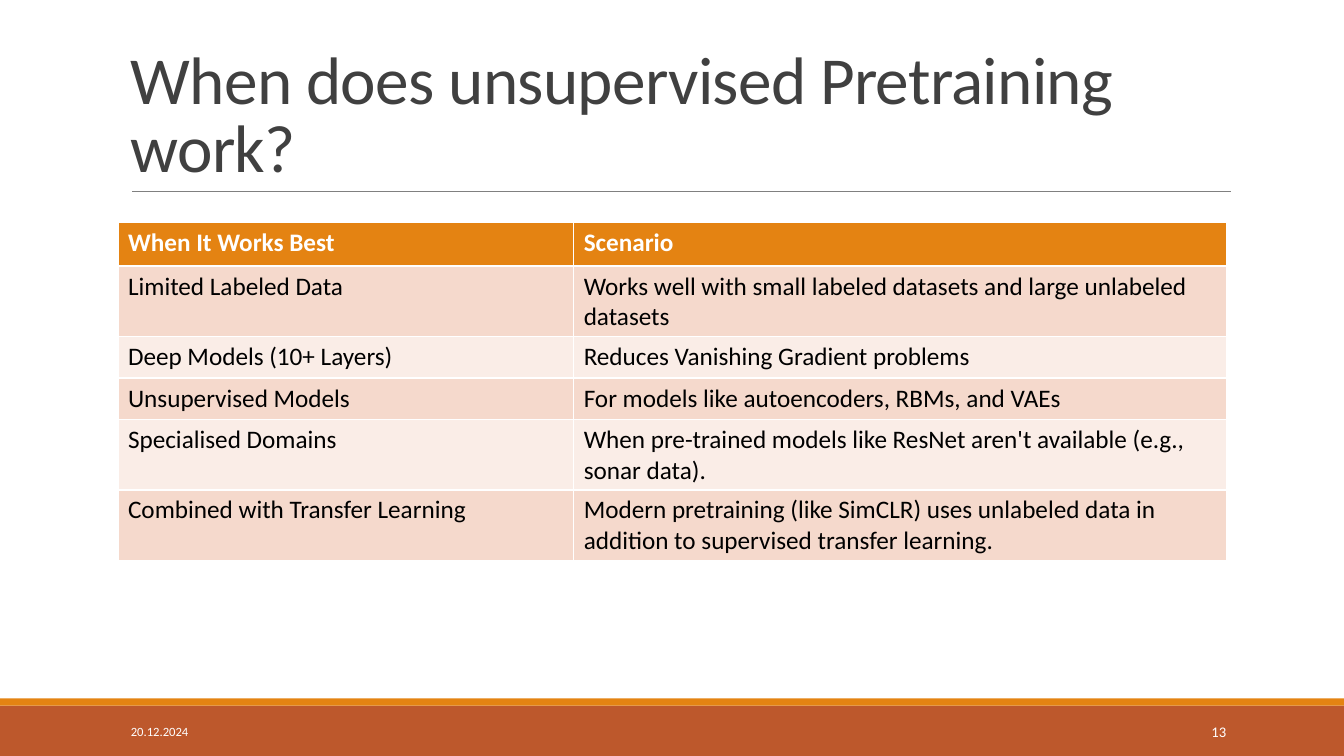
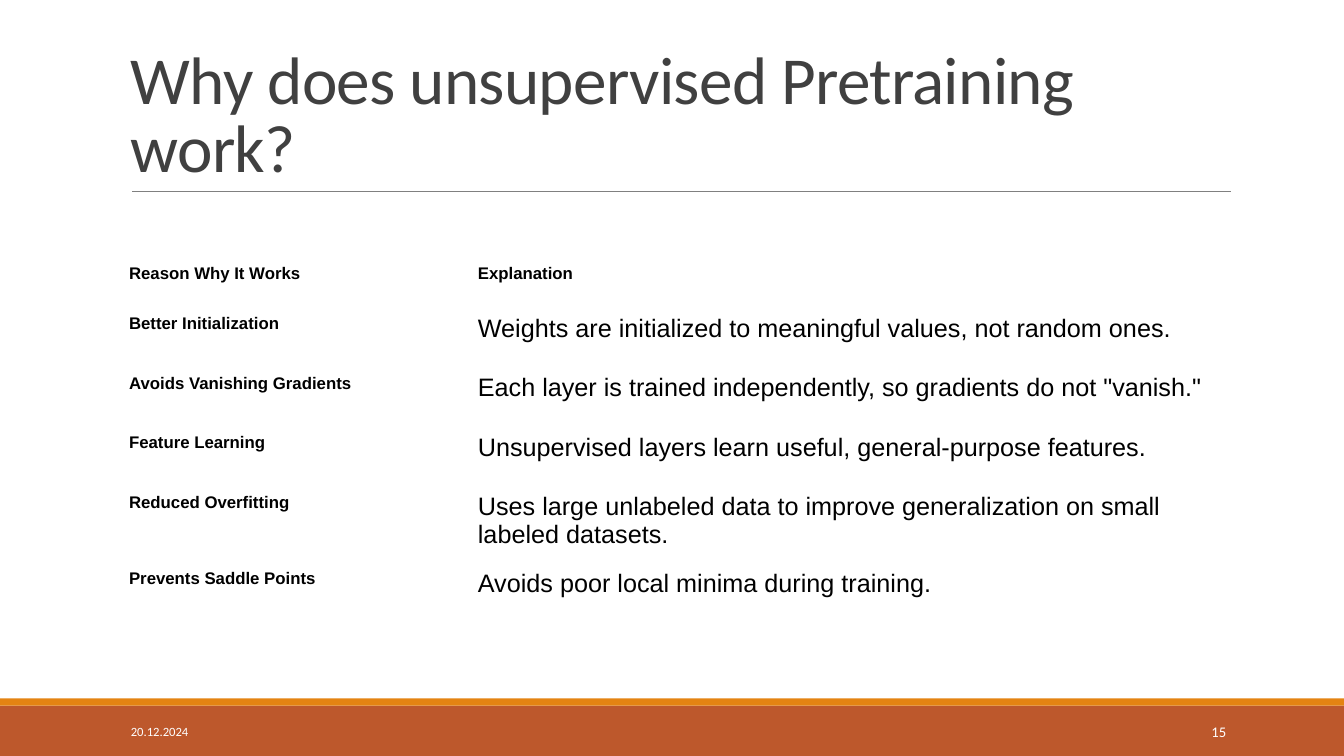
"""Build two slides with tables on when and why unsupervised pretraining works."""
from dataclasses import dataclass

from lxml.etree import SubElement
from pptx import Presentation
from pptx.dml.color import RGBColor
from pptx.enum.shapes import MSO_CONNECTOR, MSO_SHAPE
from pptx.enum.text import MSO_ANCHOR, PP_ALIGN
from pptx.oxml.ns import qn
from pptx.util import Inches, Pt


@dataclass(frozen=True)
class Theme:
    rust: str = "BD582C"
    orange: str = "E48312"
    rule: str = "808080"
    title: str = "404040"
    white: str = "FFFFFF"
    black: str = "000000"
    bands: tuple = ("F5D9CC", "FAEDE7")
    heading_font: str = "Calibri"
    plain_font: str = "Arial"
    title_size: float = 48
    body_size: float = 18
    label_size: float = 12
    date_size: float = 9
    number_size: float = 10.5


THEME = Theme()
ROWS_PER_SLIDE = 75
CONTENT_COLUMN, CONTENT_COLUMNS = 12, 110
FOOTER_ROW, FOOTER_ROWS = 70.6, 4

prs = Presentation()
prs.slide_width, prs.slide_height = Inches(13.33), Inches(7.5)
CELL = prs.slide_height // ROWS_PER_SLIDE


def grid(*counts):
    return [round(count * CELL) for count in counts]


def write(frame, text, size, color, font=THEME.heading_font, bold=False):
    frame.text = text
    paragraph = frame.paragraphs[0]
    style = paragraph.runs[0].font
    style.name, style.size, style.bold = font, Pt(size), bold
    style.color.rgb = RGBColor.from_string(color)
    return paragraph


WHEN_ROWS = [
    ("When It Works Best", "Scenario"),
    ("Limited Labeled Data", "Works well with small labeled datasets and large unlabeled datasets"),
    ("Deep Models (10+ Layers)", "Reduces Vanishing Gradient problems"),
    ("Unsupervised Models", "For models like autoencoders, RBMs, and VAEs"),
    ("Specialised Domains", "When pre-trained models like ResNet aren't available (e.g., sonar data)."),
    ("Combined with Transfer Learning",
     "Modern pretraining (like SimCLR) uses unlabeled data in addition to supervised transfer learning."),
]
WHY_ROWS = [
    ("Reason Why It Works", "Explanation"),
    ("Better Initialization", "Weights are initialized to meaningful values, not random ones."),
    ("Avoids Vanishing Gradients", 'Each layer is trained independently, so gradients do not "vanish."'),
    ("Feature Learning", "Unsupervised layers learn useful, general-purpose features."),
    ("Reduced Overfitting", "Uses large unlabeled data to improve generalization on small labeled datasets."),
    ("Prevents Saddle Points", "Avoids poor local minima during training."),
]
TOPICS = [
    dict(title="When does unsupervised Pretraining work?", number="13", rows=WHEN_ROWS, banded=True,
         corner=(11.7, 22.1), first_column=45.2, heights=[4.3] + [4.1] * 5),
    dict(title="Why does unsupervised Pretraining work?", number="15", rows=WHY_ROWS, banded=False,
         corner=(CONTENT_COLUMN, 25.4), first_column=34.6, heights=[5] + [5.9] * 4 + [5]),
]

for topic in TOPICS:
    slide = prs.slides.add_slide(prs.slide_layouts[6])

    for top, height, color in ((70, 5, THEME.rust), (69.3, 0.7, THEME.orange)):
        top, height = grid(top, height)
        band = slide.shapes.add_shape(MSO_SHAPE.RECTANGLE, 0, top, prs.slide_width, height)
        band.shadow.inherit = False
        band.fill.solid()
        band.fill.fore_color.rgb = RGBColor.from_string(color)
        band.line.fill.background()

    title_rule = slide.shapes.add_connector(MSO_CONNECTOR.STRAIGHT, *grid(13.1, 19, 122.1, 19))
    title_rule.line.color.rgb = RGBColor.from_string(THEME.rule)
    title_rule.line.width = Pt(0.5)
    SubElement(title_rule._element.spPr, qn("a:effectLst"))

    captions = (
        (topic["title"], (CONTENT_COLUMN, 3.1, CONTENT_COLUMNS, 15.9),
         THEME.title_size, THEME.title, MSO_ANCHOR.BOTTOM, PP_ALIGN.LEFT),
        ("20.12.2024", (CONTENT_COLUMN, FOOTER_ROW, 27, FOOTER_ROWS),
         THEME.date_size, THEME.white, MSO_ANCHOR.MIDDLE, PP_ALIGN.LEFT),
        (topic["number"], (108.3, FOOTER_ROW, 14.3, FOOTER_ROWS),
         THEME.number_size, THEME.white, MSO_ANCHOR.MIDDLE, PP_ALIGN.RIGHT),
    )
    for text, area, size, color, anchor, alignment in captions:
        frame = slide.shapes.add_textbox(*grid(*area)).text_frame
        frame.word_wrap = True
        frame.vertical_anchor = anchor
        paragraph = write(frame, text, size, color)
        paragraph.alignment = alignment
        if size == THEME.title_size:
            paragraph.line_spacing = 0.85
            paragraph.runs[0].font._element.set("spc", "-50")

    area = grid(*topic["corner"], CONTENT_COLUMNS, sum(topic["heights"]))
    table = slide.shapes.add_table(len(topic["rows"]), 2, *area).table
    table.horz_banding = False
    widths = grid(topic["first_column"], CONTENT_COLUMNS - topic["first_column"])
    for column, width in zip(table.columns, widths):
        column.width = width
    for row, height in zip(table.rows, grid(*topic["heights"])):
        row.height = height

    for r, texts in enumerate(topic["rows"]):
        for c, text in enumerate(texts):
            cell = table.cell(r, c)
            header = r == 0
            if topic["banded"]:
                cell.fill.solid()
                fill = THEME.orange if header else THEME.bands[(r - 1) % 2]
                cell.fill.fore_color.rgb = RGBColor.from_string(fill)
                color = THEME.white if header else THEME.black
                write(cell.text_frame, text, THEME.body_size, color, bold=header)
            else:
                cell.fill.background()
                cell.margin_left = cell.margin_right = Inches(0.08)
                cell.margin_top = cell.margin_bottom = Inches(0.08)
                label = header or c == 0
                size = THEME.label_size if label else THEME.body_size
                write(cell.text_frame, text, size, THEME.black, THEME.plain_font, label)

prs.save("out.pptx")
